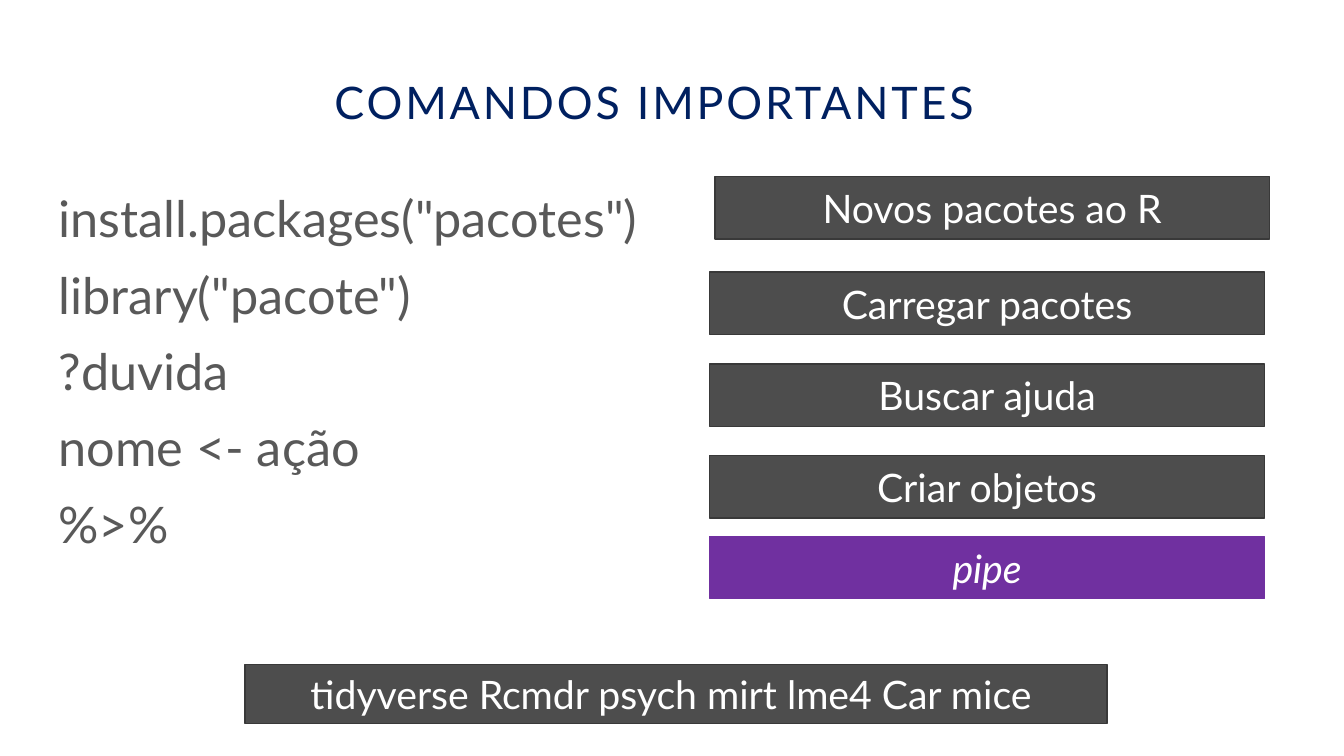
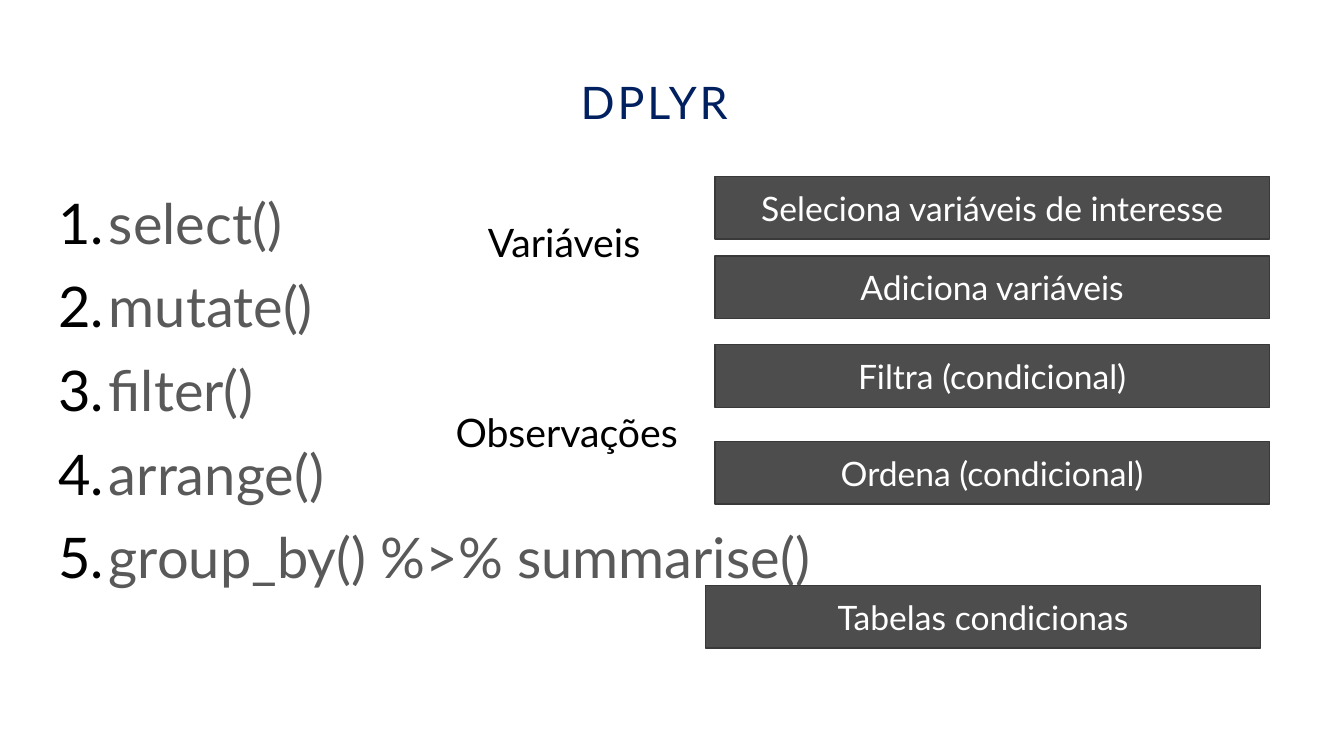
from dataclasses import dataclass

import lxml.etree
import pptx
import pptx.dml.color
import pptx.enum.shapes
import pptx.enum.text
import pptx.oxml.ns
import pptx.util

Inches = pptx.util.Inches
Pt = pptx.util.Pt
Color = pptx.dml.color.RGBColor.from_string
Align = pptx.enum.text.PP_ALIGN
Anchor = pptx.enum.text.MSO_ANCHOR
AutoSize = pptx.enum.text.MSO_AUTO_SIZE
qn = pptx.oxml.ns.qn


@dataclass(frozen=True)
class Theme:
    font: str = "Lato"
    title_color: str = "002060"
    body_color: str = "595959"
    label_color: str = "000000"
    band_fill: str = "4D4D4D"
    band_line: str = "393939"
    band_text: str = "FFFFFF"
    accent: str = "7030A0"
    title_size: int = 32
    code_size: int = 36
    list_size: int = 40
    label_size: int = 28
    band_size: int = 28
    small_band_size: int = 24


def apply(target, values):
    for name, value in values.items():
        setattr(target, name, value)


class Deck:
    left, width = 0.48, 12.02
    body_top = 1.75
    band_width, band_height = 5.5, 0.62

    def __init__(self, theme):
        self.theme = theme
        self.presentation = pptx.Presentation()
        apply(self.presentation, {"slide_width": Inches(13.33), "slide_height": Inches(7.5)})
        self.slide = None

    def place(self, shape, left, top, width, height):
        apply(shape, {"left": Inches(left), "top": Inches(top),
                      "width": Inches(width), "height": Inches(height)})

    def add_text(self, paragraph, text, size, color, paragraph_format=None, **font_format):
        run = paragraph.add_run()
        run.text = text
        apply(paragraph, paragraph_format or {})
        apply(run.font, {"name": self.theme.font, "size": Pt(size), **font_format})
        run.font.color.rgb = Color(color)
        return run

    def add_slide(self, title):
        layout = self.presentation.slide_layouts.get_by_name("Title and Content")
        self.slide = self.presentation.slides.add_slide(layout)
        shape = self.slide.shapes.title
        self.place(shape, self.left, 0.42, self.width, 1)
        frame = shape.text_frame
        apply(frame, {"vertical_anchor": Anchor.TOP, "auto_size": AutoSize.NONE})
        run = self.add_text(frame.paragraphs[0], title, self.theme.title_size,
                            self.theme.title_color,
                            {"alignment": Align.CENTER, "line_spacing": 1.5})
        run.font._element.set("spc", "200")

    def add_body(self, lines, size, numbered=False):
        shape = self.slide.placeholders[1]
        self.place(shape, self.left, self.body_top, self.width, 4.68)
        frame = shape.text_frame
        apply(frame, {"vertical_anchor": Anchor.TOP, "auto_size": AutoSize.NONE})
        for index, line in enumerate(lines):
            paragraph = frame.add_paragraph() if index else frame.paragraphs[0]
            self.add_text(paragraph, line, size, self.theme.body_color,
                          {"line_spacing": 1.1, "space_before": Pt(7),
                           "alignment": Align.LEFT})
            self.set_bullet(paragraph, numbered)

    def set_bullet(self, paragraph, numbered):
        properties = paragraph._p.get_or_add_pPr()
        indent = Inches(0.5) if numbered else 0
        properties.set("marL", str(indent))
        properties.set("indent", str(-indent))
        if not numbered:
            lxml.etree.SubElement(properties, qn("a:buNone"))
            return
        color = lxml.etree.SubElement(properties, qn("a:buClr"))
        lxml.etree.SubElement(color, qn("a:srgbClr"), val=self.theme.label_color)
        font = lxml.etree.SubElement(properties, qn("a:buFont"))
        font.set("typeface", self.theme.font)
        lxml.etree.SubElement(properties, qn("a:buAutoNum"), type="arabicPeriod")

    def add_band(self, text, left, top, size, width=band_width, height=band_height,
                 fill=None, line=None, **font_format):
        shape = self.slide.shapes.add_shape(
            pptx.enum.shapes.MSO_SHAPE.RECTANGLE,
            Inches(left), Inches(top), Inches(width), Inches(height))
        shape.shadow.inherit = False
        shape.fill.solid()
        shape.fill.fore_color.rgb = Color(fill or self.theme.band_fill)
        shape.line.color.rgb = Color(line or self.theme.band_line)
        shape.line.width = Pt(1)
        frame = shape.text_frame
        apply(frame, {"vertical_anchor": Anchor.MIDDLE, "word_wrap": True})
        self.add_text(frame.paragraphs[0], text, size, self.theme.band_text,
                      {"alignment": Align.CENTER}, **font_format)

    def add_label(self, text, left, top, width):
        shape = self.slide.shapes.add_textbox(
            Inches(left), Inches(top), Inches(width), Inches(0.57))
        frame = shape.text_frame
        apply(frame, {"word_wrap": False, "auto_size": AutoSize.SHAPE_TO_FIT_TEXT})
        self.add_text(frame.paragraphs[0], text, self.theme.label_size,
                      self.theme.label_color)


def add_commands_slide(deck):
    theme = deck.theme
    deck.add_slide("COMANDOS IMPORTANTES")
    deck.add_body(['install.packages("pacotes")', 'library("pacote")', "?duvida",
                   "nome <- ação", "%>%"], theme.code_size)
    deck.add_band("Novos pacotes ao R", 7.09, deck.body_top, theme.band_size)
    for row, text in enumerate(["Carregar pacotes", "Buscar ajuda", "Criar objetos"]):
        deck.add_band(text, 7.04, 2.7 + 0.91 * row, theme.band_size)
    deck.add_band("pipe", 7.04, 5.32, theme.band_size,
                  fill=theme.accent, line=theme.accent, italic=True)
    deck.add_band("tidyverse Rcmdr psych mirt lme4 Car mice ", 2.43, 6.59,
                  theme.band_size, width=8.55, height=0.59)


def add_dplyr_slide(deck):
    theme = deck.theme
    deck.add_slide("DPLYR")
    deck.add_body(["select()", "mutate()", "filter()", "arrange()",
                   "group_by() %>% summarise()"], theme.list_size, numbered=True)
    for text, left, top in [
        ("Seleciona variáveis de interesse", 7.09, deck.body_top),
        ("Adiciona variáveis", 7.09, 2.54),
        ("Filtra (condicional)", 7.09, 3.42),
        ("Ordena (condicional)", 7.09, 4.38),
        ("Tabelas condicionas", 7, 5.81),
    ]:
        deck.add_band(text, left, top, theme.small_band_size)
    deck.add_label("Variáveis", 4.74, 2.12, 1.83)
    deck.add_label("Observações", 4.42, 4, 2.66)


def main():
    deck = Deck(Theme())
    add_commands_slide(deck)
    add_dplyr_slide(deck)
    deck.presentation.save("out.pptx")


if __name__ == "__main__":
    main()
